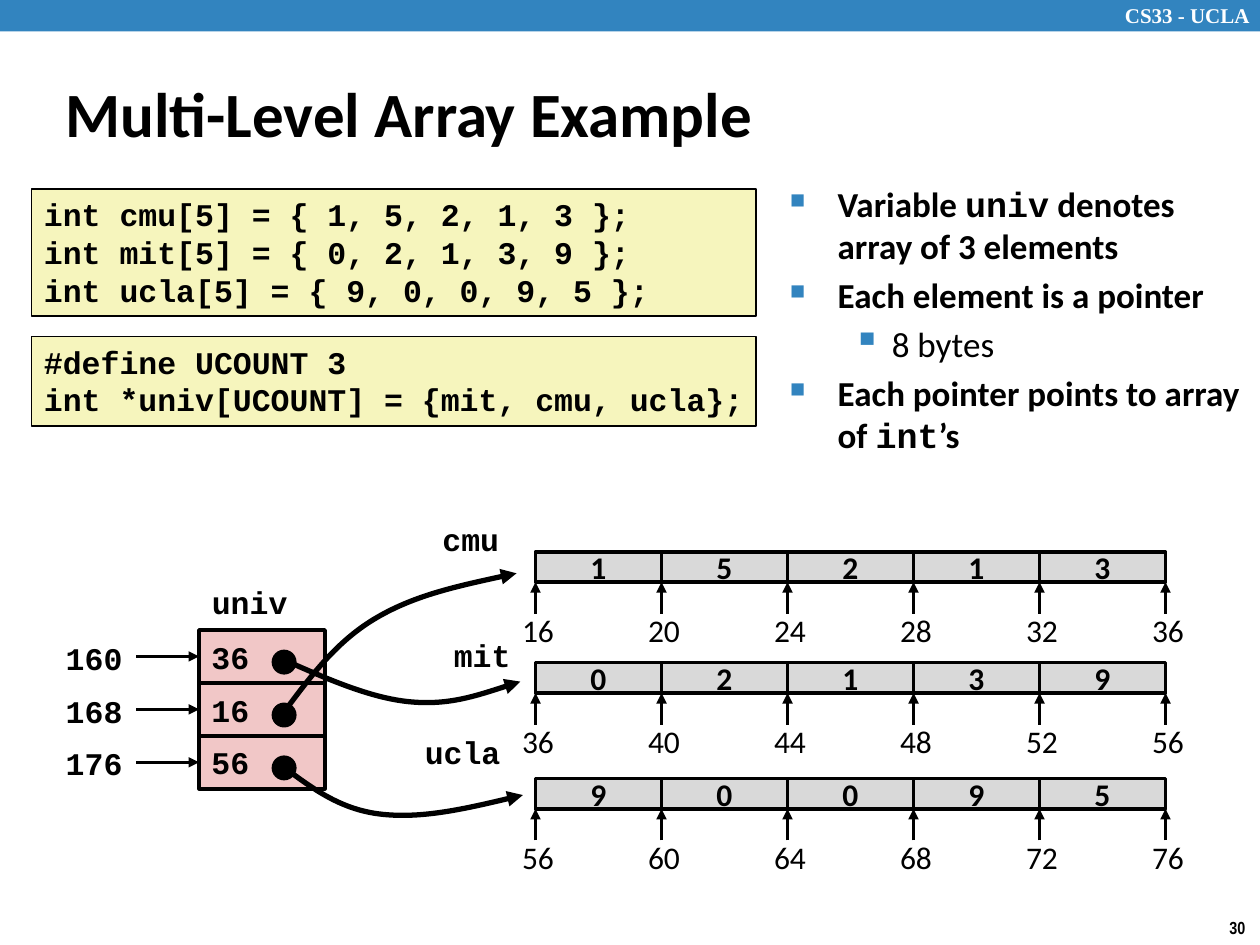
import pptx
import pptx.util
import pptx.dml.color
import pptx.enum.shapes
import pptx.enum.text
import pptx.oxml.ns
import lxml.etree

Inches = pptx.util.Inches
Pt = pptx.util.Pt
qn = pptx.oxml.ns.qn
SHAPE = pptx.enum.shapes.MSO_SHAPE
ALIGN = pptx.enum.text.PP_ALIGN
ANCHOR = pptx.enum.text.MSO_ANCHOR

BLUE = pptx.dml.color.RGBColor(0x32, 0x84, 0xBF)
YELLOW = pptx.dml.color.RGBColor(0xF6, 0xF5, 0xBD)
PINK = pptx.dml.color.RGBColor(0xF1, 0xC7, 0xC7)
GRAY = pptx.dml.color.RGBColor(0xD9, 0xD9, 0xD9)
BLACK = pptx.dml.color.RGBColor(0, 0, 0)
WHITE = pptx.dml.color.RGBColor(0xFF, 0xFF, 0xFF)

SANS, MONO = "Calibri", "Courier New"


def style_font(font, name, size, bold=True, color=BLACK):
    """Set the typeface, size, weight and colour of a font."""
    font.name, font.size, font.bold = name, Pt(size), bold
    font.color.rgb = color


def write(shape, lines, name, size=18, bold=True, color=BLACK, align=ALIGN.LEFT, wrap=False):
    """Fill a shape with equally formatted lines of text."""
    frame = shape.text_frame
    frame.word_wrap = wrap
    frame.text = "\n".join(lines)
    for paragraph in frame.paragraphs:
        paragraph.alignment = align
        style_font(paragraph.font, name, size, bold, color)


def add_label(slide, left, top, width, height, text, name, **style):
    """Add a one-line text box."""
    box = slide.shapes.add_textbox(Inches(left), Inches(top), Inches(width), Inches(height))
    write(box, [text], name, **style)


def add_block(slide, left, top, width, height, fill, line_width=2, kind=SHAPE.RECTANGLE):
    """Add a filled shape with a black outline."""
    block = slide.shapes.add_shape(kind, Inches(left), Inches(top), Inches(width), Inches(height))
    block.shadow.inherit = False
    block.fill.solid()
    block.fill.fore_color.rgb = fill
    block.line.color.rgb = BLACK
    block.line.width = Pt(line_width)
    block.text_frame.vertical_anchor = ANCHOR.MIDDLE
    return block


def style_arrow(arrow, width):
    """Give a line its colour, width and arrowhead, without a shadow."""
    arrow.line.color.rgb = BLACK
    arrow.line.width = Pt(width)
    lxml.etree.SubElement(arrow.line._get_or_add_ln(), qn("a:tailEnd"), type="triangle")
    lxml.etree.SubElement(arrow.element.spPr, qn("a:effectLst"))


def add_arrow(slide, start_x, start_y, end_x, end_y):
    """Add a straight arrow between two points."""
    straight = pptx.enum.shapes.MSO_CONNECTOR.STRAIGHT
    arrow = slide.shapes.add_connector(straight, start_x, start_y, end_x, end_y)
    style_arrow(arrow, 2)
    return arrow


def add_pointer_curve(slide, points):
    """Add a curved arrow through a start point and Bézier control points."""
    corners = [(Inches(x), Inches(y)) for x, y in points]
    builder = slide.shapes.build_freeform(*corners[0])
    builder.add_line_segments(corners[1:], close=False)
    curve = builder.convert_to_shape()
    curve.fill.background()
    outline = curve.element.find(".//" + qn("a:path"))
    segments = outline.findall(qn("a:lnTo"))
    for first in range(0, len(segments), 3):
        bezier = lxml.etree.SubElement(outline, qn("a:cubicBezTo"))
        for segment in segments[first:first + 3]:
            bezier.append(segment[0])
            outline.remove(segment)
    style_arrow(curve, 3)


def add_header(slide, left, top, width, height):
    """Draw the course band across the top."""
    band = add_block(slide, left, top, width, height, BLUE)
    band.line.fill.background()
    add_label(slide, left + width - 1.17, top - 0.03, 1.24, 0.3, "CS33 - UCLA",
              "Times New Roman", size=12, color=WHITE, wrap=True)


def add_title(slide, left, top, width, height):
    """Place and format the title."""
    title = slide.shapes.title
    title.left, title.top, title.width, title.height = map(Inches, (left, top, width, height))
    write(title, ["Multi-Level Array Example"], SANS, size=36, wrap=True)
    title.text_frame.auto_size = pptx.enum.text.MSO_AUTO_SIZE.NONE
    title.text_frame.vertical_anchor = ANCHOR.MIDDLE


def add_bullets(slide, left, top, width, height):
    """Write the bulleted notes about the pointer array."""
    notes = [
        (0, [("Variable ", SANS), ("univ", MONO), (" denotes array of 3 elements", SANS)]),
        (0, [("Each element is a pointer", SANS)]),
        (1, [("8 bytes", SANS)]),
        (0, [("Each pointer points to array of ", SANS), ("int", MONO), ("’s", SANS)]),
    ]
    levels = [(0.38, -0.38, "60000", "■"), (0.81, -0.31, "110000", "▪")]
    frame = slide.shapes.add_textbox(*map(Inches, (left, top, width, height))).text_frame
    frame.word_wrap = True
    for index, (level, pieces) in enumerate(notes):
        paragraph = frame.add_paragraph() if index else frame.paragraphs[0]
        margin, indent, bullet_size, mark = levels[level]
        paragraph.level = level
        if index:
            paragraph.space_before = Pt(4)
        props = paragraph._p.get_or_add_pPr()
        props.set("marL", str(Inches(margin)))
        props.set("indent", str(Inches(indent)))
        bullet_color = lxml.etree.SubElement(props, qn("a:buClr"))
        lxml.etree.SubElement(bullet_color, qn("a:srgbClr"), val=str(BLUE))
        lxml.etree.SubElement(props, qn("a:buSzPct"), val=bullet_size)
        lxml.etree.SubElement(props, qn("a:buChar"), char=mark)
        style_font(paragraph.font, SANS, 20, bold=level == 0)
        for text, name in pieces:
            run = paragraph.add_run()
            run.text = text
            run.font.name = name


def add_code(slide, left, top, width, height, lines):
    """Draw a code panel."""
    panel = add_block(slide, left, top, width, height, YELLOW, line_width=1)
    panel.text_frame.vertical_anchor = ANCHOR.TOP
    write(panel, lines, MONO)


def add_univ(slide, left, top, width, cell_height):
    """Draw the pointer array with its addresses."""
    add_label(slide, left, top - 0.42, 0.8, 0.4, "univ", MONO, align=ALIGN.RIGHT)
    for row, (address, target) in enumerate([("160", "36"), ("168", "16"), ("176", "56")]):
        cell_top = top + row * cell_height
        cell = add_block(slide, left, cell_top, width, cell_height, PINK)
        write(cell, [target], MONO)
        middle = cell.top + cell.height // 2
        arrow = add_arrow(slide, cell.left - Inches(0.5), middle, cell.left, middle)
        arrow.end_connect(cell, 1)
        add_label(slide, left - 1.16, cell_top + 0.02, 0.65, 0.4, address, MONO, align=ALIGN.RIGHT)
        add_block(slide, left + 0.59, cell_top + 0.17, 0.17, 0.17, BLACK, kind=SHAPE.OVAL)


def add_int_array(slide, left, top, cell_width, cell_height, values, start):
    """Draw a row of integers with the address of every boundary."""
    for index, value in enumerate(values):
        cell = add_block(slide, left + index * cell_width, top, cell_width, cell_height, GRAY)
        write(cell, [str(value)], SANS, align=ALIGN.CENTER)
    for index in range(len(values) + 1):
        edge = left + index * cell_width
        bottom = top + cell_height
        add_arrow(slide, Inches(edge), Inches(bottom + 0.25), Inches(edge), Inches(bottom))
        add_label(slide, edge - 0.52, bottom + 0.18, 1.08, 0.4, str(start + 4 * index), SANS,
                  bold=False, align=ALIGN.CENTER, wrap=True)


def main():
    """Build the slide and save it."""
    deck = pptx.Presentation()
    deck.slide_width, deck.slide_height = Inches(10), Inches(7.5)
    slide = deck.slides.add_slide(deck.slide_layouts[5])
    add_header(slide, 0, 0, 10, 0.25)
    add_label(slide, 9.66, 7.23, 0.34, 0.27, "30", "Arial Narrow", size=10)
    add_title(slide, 0.42, 0.58, 7.78, 0.63)
    add_bullets(slide, 6.17, 1.4, 3.83, 2.5)
    add_code(slide, 0.25, 1.5, 5.75, 1.01, [
        "int cmu[5] = { 1, 5, 2, 1, 3 };",
        "int mit[5] = { 0, 2, 1, 3, 9 };",
        "int ucla[5] = { 9, 0, 0, 9, 5 };"])
    add_code(slide, 0.25, 2.67, 5.75, 0.71, [
        "#define UCOUNT 3",
        "int *univ[UCOUNT] = {mit, cmu, ucla};"])
    add_univ(slide, 1.58, 5, 1, 0.42)
    arrays = [
        ("cmu", 3.41, 4.08, 0.65, 4.38, [1, 5, 2, 1, 3], 16,
         [(2.24, 5.67), (2.45, 5.39), (2.65, 5.11), (2.96, 4.92),
          (3.27, 4.73), (3.68, 4.64), (4.1, 4.55)]),
        ("mit", 3.5, 5, 0.65, 5.26, [0, 2, 1, 3, 9], 36,
         [(2.26, 5.24), (2.6, 5.39), (2.94, 5.54), (3.25, 5.57),
          (3.56, 5.6), (3.85, 5.5), (4.13, 5.41)]),
        ("ucla", 3.26, 5.77, 0.81, 6.18, [9, 0, 0, 9, 5], 56,
         [(2.24, 6.08), (2.47, 6.25), (2.69, 6.42), (3.01, 6.46),
          (3.33, 6.5), (3.74, 6.41), (4.15, 6.31)]),
    ]
    for name, name_left, name_top, name_width, top, values, start, curve in arrays:
        add_label(slide, name_left, name_top, name_width, 0.4, name, MONO, align=ALIGN.RIGHT)
        add_int_array(slide, 4.25, top, 1, 0.24, values, start)
        add_pointer_curve(slide, curve)
    deck.save("out.pptx")


if __name__ == "__main__":
    main()
